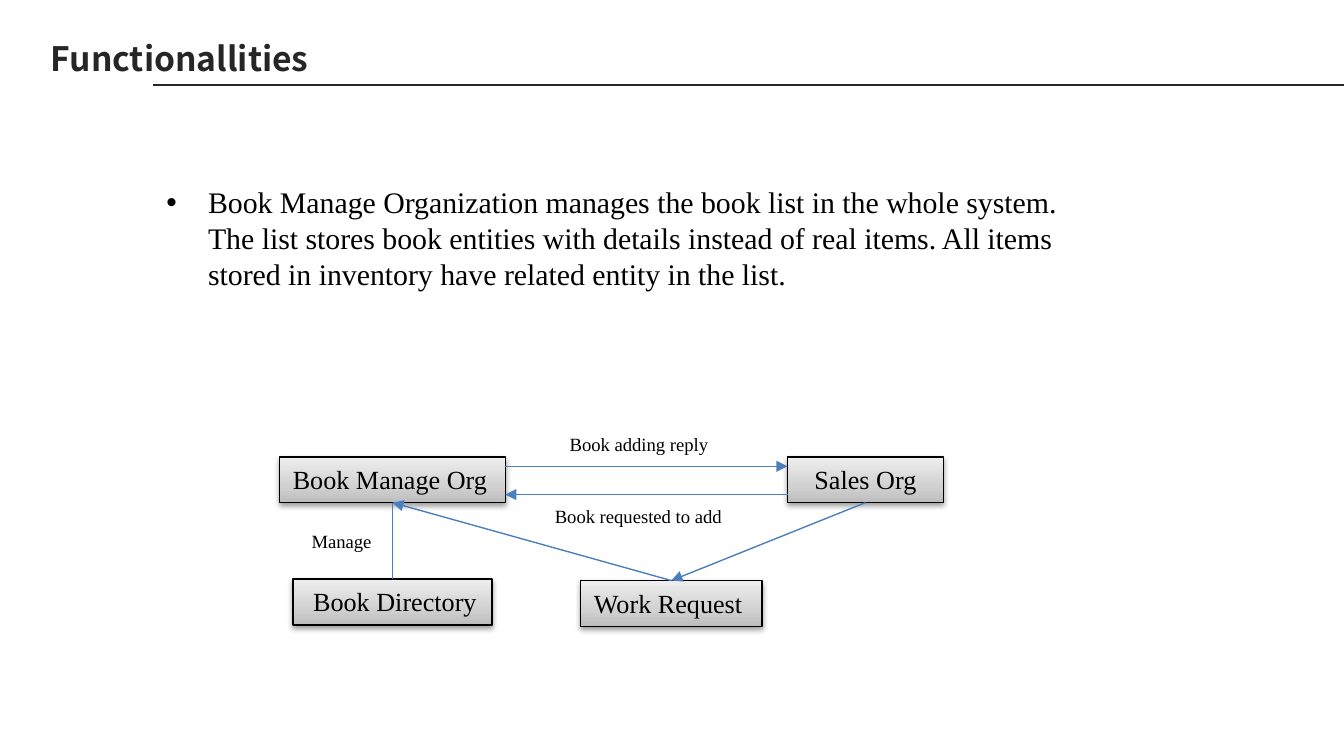
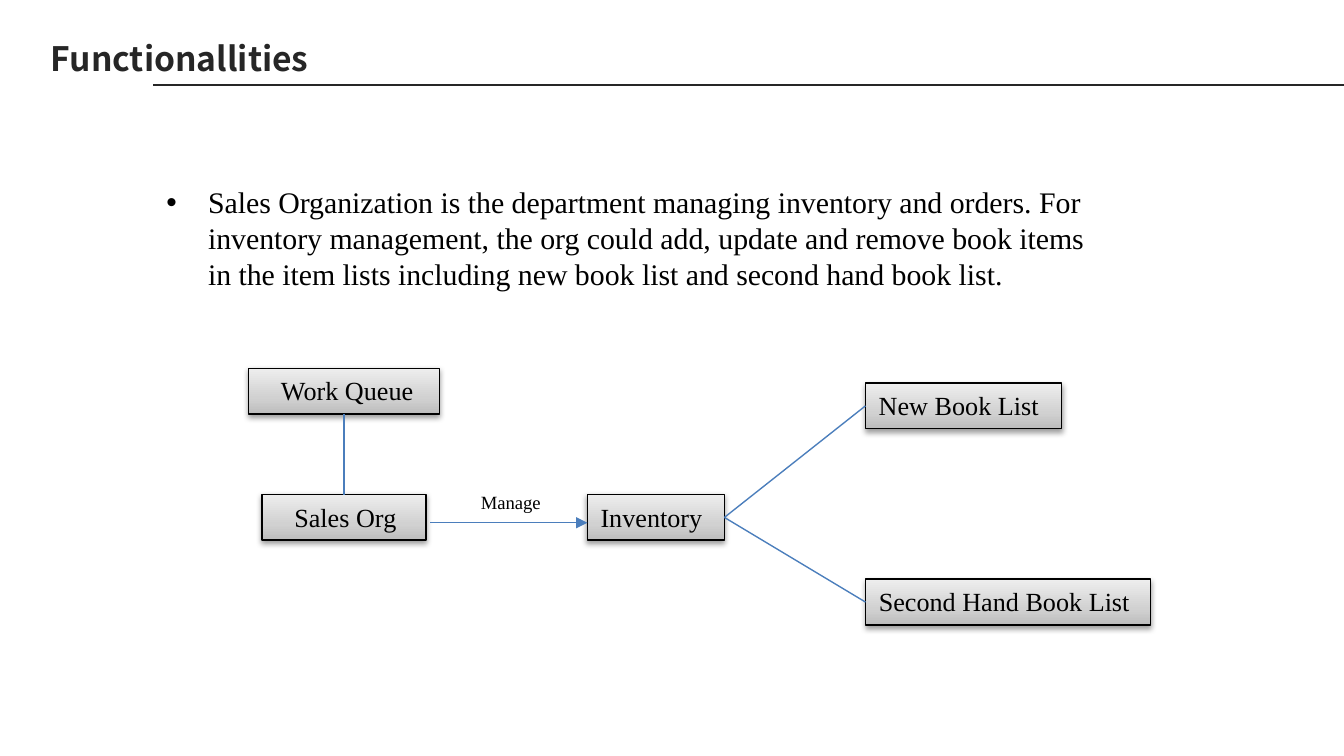
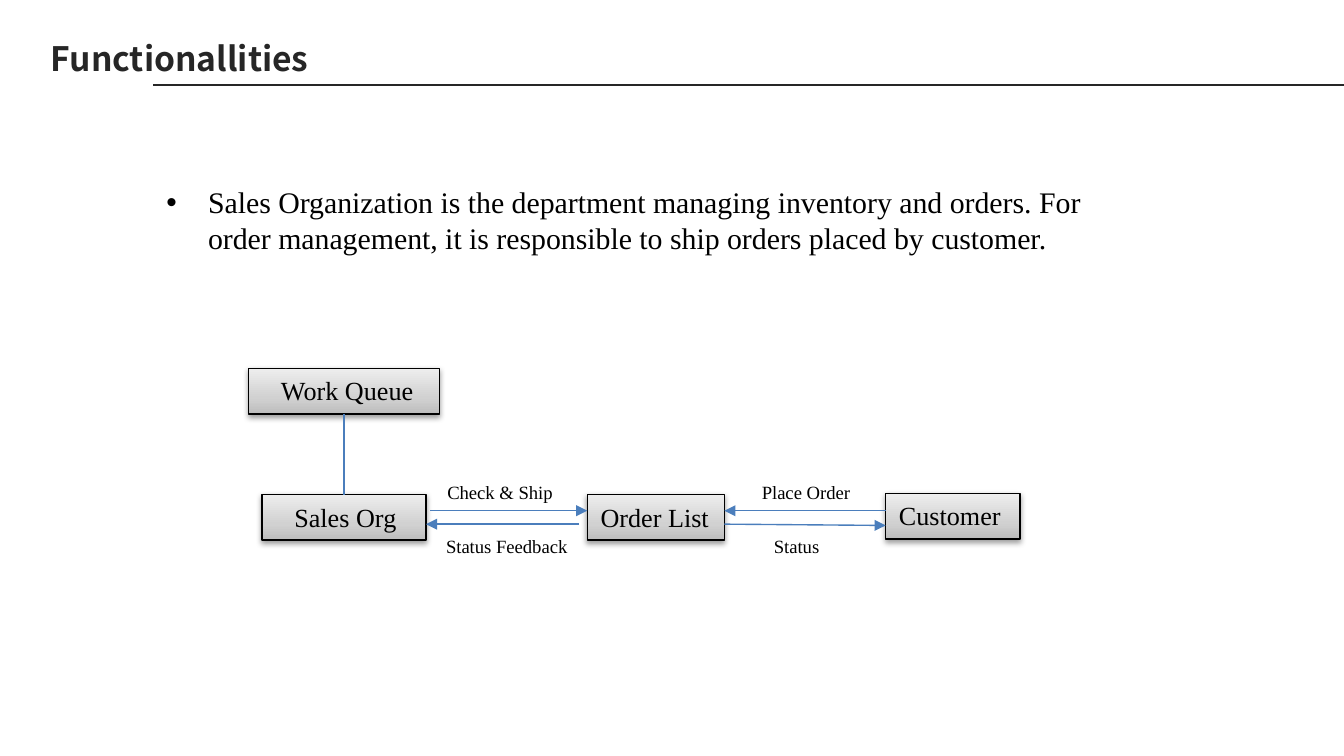
from copy import deepcopy

from lxml import etree
from pptx import Presentation
from pptx.dml.color import RGBColor
from pptx.enum.shapes import MSO_CONNECTOR, MSO_SHAPE
from pptx.enum.text import MSO_ANCHOR, MSO_AUTO_SIZE, PP_ALIGN
from pptx.oxml.ns import qn
from pptx.util import Inches, Pt

# Shared look
COLORS = {
    "heading": "262626",
    "text": "000000",
    "border": "000000",
    "link": "4B7EBC",
    "shadow": "000000",
}
BOX_GRADIENT = [(0, "BDBDBD"), (0.35, "D1D1D1"), (1, "EEEEEE")]
HEADING_FONT = "Noto Sans CJK SC"
BODY_FONT = "Times New Roman"
HEADING = "Functionallities"
PAGE_WIDTH = 10
PAGE_HEIGHT = PAGE_WIDTH * 9 / 16
BOX_HEIGHT = 0.34
LABEL_HEIGHT = 0.27
BULLET_INDENT = 0.31
SITES = {"top": 0, "left": 1, "bottom": 2, "right": 3}

# Boxes: name -> (left, top, width, text indent)
SALES_BOXES = {
    "Sales Org": (1.95, 3.68, 1.22, 0.14),
    "Work Queue": (1.85, 2.74, 1.42, 0.14),
}
QUEUE_LINK = (("Work Queue", "bottom"), ("Sales Org", "top"), False)

# Links: (start, end, arrow), each end a (box, side) pair or an (x, y) point
# Labels: (text, left, top, width)
PAGES = [
    {
        "summary": "Book Manage Organization manages the book list in the whole system. "
                   "The list stores book entities with details instead of real items. "
                   "All items stored in inventory have related entity in the list.",
        "summary_height": 0.91,
        "boxes": {
            "Book Manage Org": (2.08, 3.4, 1.68, 0),
            "Work Request": (4.32, 4.32, 1.35, 0),
            "Sales Org": (5.86, 3.4, 1.16, 0.1),
            "Book Directory": (2.18, 4.31, 1.48, 0.05),
        },
        "links": [
            (("Book Manage Org", "bottom"), ("Book Directory", "top"), False),
            (("Sales Org", "bottom"), ("Work Request", "top"), True),
            (("Work Request", "top"), ("Book Manage Org", "bottom"), True),
            ((5.86, 3.68), (3.76, 3.68), True),
            ((3.76, 3.47), (5.86, 3.47), True),
        ],
        "labels": [
            ("Manage", 2.22, 3.89, 0.66),
            ("Book adding reply", 4.14, 3.17, 1.25),
            ("Book requested to add", 4.03, 3.71, 1.46),
        ],
    },
    {
        "summary": "Sales Organization is the department managing inventory and orders. "
                   "For inventory management, the org could add, update and remove book "
                   "items in the item lists including new book list and second hand book list.",
        "summary_height": 0.91,
        "boxes": {
            **SALES_BOXES,
            "Inventory": (4.37, 3.68, 1.02, 0),
            "New Book List": (6.44, 2.85, 1.46, 0),
            "Second Hand Book List": (6.44, 4.31, 2.12, 0),
        },
        "links": [
            QUEUE_LINK,
            ((3.2, 3.89), (4.37, 3.89), True),
            (("Inventory", "right"), ("New Book List", "left"), False),
            (("Inventory", "right"), ("Second Hand Book List", "left"), False),
        ],
        "labels": [("Manage", 3.48, 3.6, 0.66)],
    },
    {
        "summary": "Sales Organization is the department managing inventory and orders. "
                   "For order management, it is responsible to ship orders placed by customer.",
        "summary_height": 0.64,
        "boxes": {
            **SALES_BOXES,
            "Order List": (4.37, 3.68, 1.02, 0),
            "Customer": (6.59, 3.67, 1, 0),
        },
        "links": [
            QUEUE_LINK,
            ((3.2, 3.8), (4.37, 3.8), True),
            ((4.31, 3.9), (3.17, 3.9), True),
            ((6.59, 3.8), (5.39, 3.8), True),
            ((5.39, 3.9), (6.59, 3.91), True),
        ],
        "labels": [
            ("Check & Ship", 3.23, 3.53, 1),
            ("Status Feedback", 3.22, 3.93, 1.12),
            ("Place Order", 5.57, 3.53, 0.87),
            ("Status", 5.66, 3.93, 0.54),
        ],
    },
]


def color(name):
    return RGBColor.from_string(COLORS[name])


def write(shape, text, size, font=BODY_FONT, tone="text", bold=False, wrap=True):
    frame = shape.text_frame
    frame.word_wrap = wrap
    frame.auto_size = MSO_AUTO_SIZE.SHAPE_TO_FIT_TEXT
    paragraph = frame.paragraphs[0]
    paragraph.text = text
    paragraph.alignment = PP_ALIGN.LEFT
    paragraph.font.name = font
    paragraph.font.size = Pt(size)
    paragraph.font.bold = bold
    paragraph.font.color.rgb = color(tone)
    return paragraph


def add_text(page, text, left, top, width, height, size, **style):
    area = page.shapes.add_textbox(*map(Inches, (left, top, width, height)))
    return write(area, text, size, **style)


def add_line(page, start, end, tone, weight):
    line = page.shapes.add_connector(
        MSO_CONNECTOR.STRAIGHT, *map(Inches, (*start, *end)))
    line.line.color.rgb = color(tone)
    line.line.width = Pt(weight)
    etree.SubElement(line._element.spPr, qn("a:effectLst"))
    return line


def add_summary(page, text, height):
    paragraph = add_text(page, text, 1.14, 1.32, 7.17, height, 16)
    properties = paragraph._p.get_or_add_pPr()
    properties.set("marL", str(Inches(BULLET_INDENT)))
    properties.set("indent", str(-Inches(BULLET_INDENT)))
    # Bullet marks come before the default run properties
    bullet_font = etree.Element(qn("a:buFont"), typeface="Arial")
    bullet = etree.Element(qn("a:buChar"), char="•")
    properties.insert(0, bullet_font)
    properties.insert(1, bullet)


def fill_gradient(box):
    box.fill.gradient()
    box.fill.gradient_angle = 90
    stop_list = box._element.spPr.find(".//" + qn("a:gsLst"))
    stop_list.append(deepcopy(stop_list[0]))
    for stop, (position, value) in zip(box.fill.gradient_stops, BOX_GRADIENT):
        stop.position = position
        stop.color.rgb = RGBColor.from_string(value)


def drop_shadow(box):
    box.shadow.inherit = False
    effects = box._element.spPr.find(qn("a:effectLst"))
    shadow = etree.SubElement(
        effects, qn("a:outerShdw"), blurRad=str(Pt(3.1)), dist=str(Pt(1.6)),
        dir="5400000", rotWithShape="0")
    tint = etree.SubElement(shadow, qn("a:srgbClr"), val=COLORS["shadow"])
    etree.SubElement(tint, qn("a:alpha"), val="38000")


def add_box(page, name, left, top, width, indent):
    box = page.shapes.add_shape(
        MSO_SHAPE.RECTANGLE, *map(Inches, (left, top, width, BOX_HEIGHT)))
    fill_gradient(box)
    box.line.color.rgb = color("border")
    box.line.width = Pt(0.75)
    drop_shadow(box)
    write(box, name, 14)
    box.text_frame.vertical_anchor = MSO_ANCHOR.TOP
    box.text_frame.margin_left = Inches(0.1 + indent)
    box.text_frame.margin_right = Inches(0.05)
    return box


def add_link(page, boxes, start, end, arrow):
    points = [(0, 0) if spot[0] in boxes else spot for spot in (start, end)]
    link = add_line(page, *points, "link", 0.75)
    for spot, connect in ((start, link.begin_connect), (end, link.end_connect)):
        if spot[0] in boxes:
            connect(boxes[spot[0]], SITES[spot[1]])
    if arrow:
        etree.SubElement(link.line._get_or_add_ln(), qn("a:tailEnd"), type="triangle")


def build_page(deck, content):
    page = deck.slides.add_slide(deck.slide_layouts[6])
    # Heading and rule
    add_text(page, HEADING, 0.28, 0.23, 2.13, 0.4, 18,
             font=HEADING_FONT, tone="heading", bold=True, wrap=False)
    add_line(page, (1.14, 0.63), (PAGE_WIDTH, 0.63), "heading", 1)
    add_summary(page, content["summary"], content["summary_height"])
    # Diagram
    boxes = {name: add_box(page, name, *place)
             for name, place in content["boxes"].items()}
    for link in content["links"]:
        add_link(page, boxes, *link)
    for text, left, top, width in content["labels"]:
        add_text(page, text, left, top, width, LABEL_HEIGHT, 10, wrap=False)


def main():
    deck = Presentation()
    deck.slide_width = Inches(PAGE_WIDTH)
    deck.slide_height = Inches(PAGE_HEIGHT)
    for content in PAGES:
        build_page(deck, content)
    deck.save("out.pptx")


if __name__ == "__main__":
    main()
